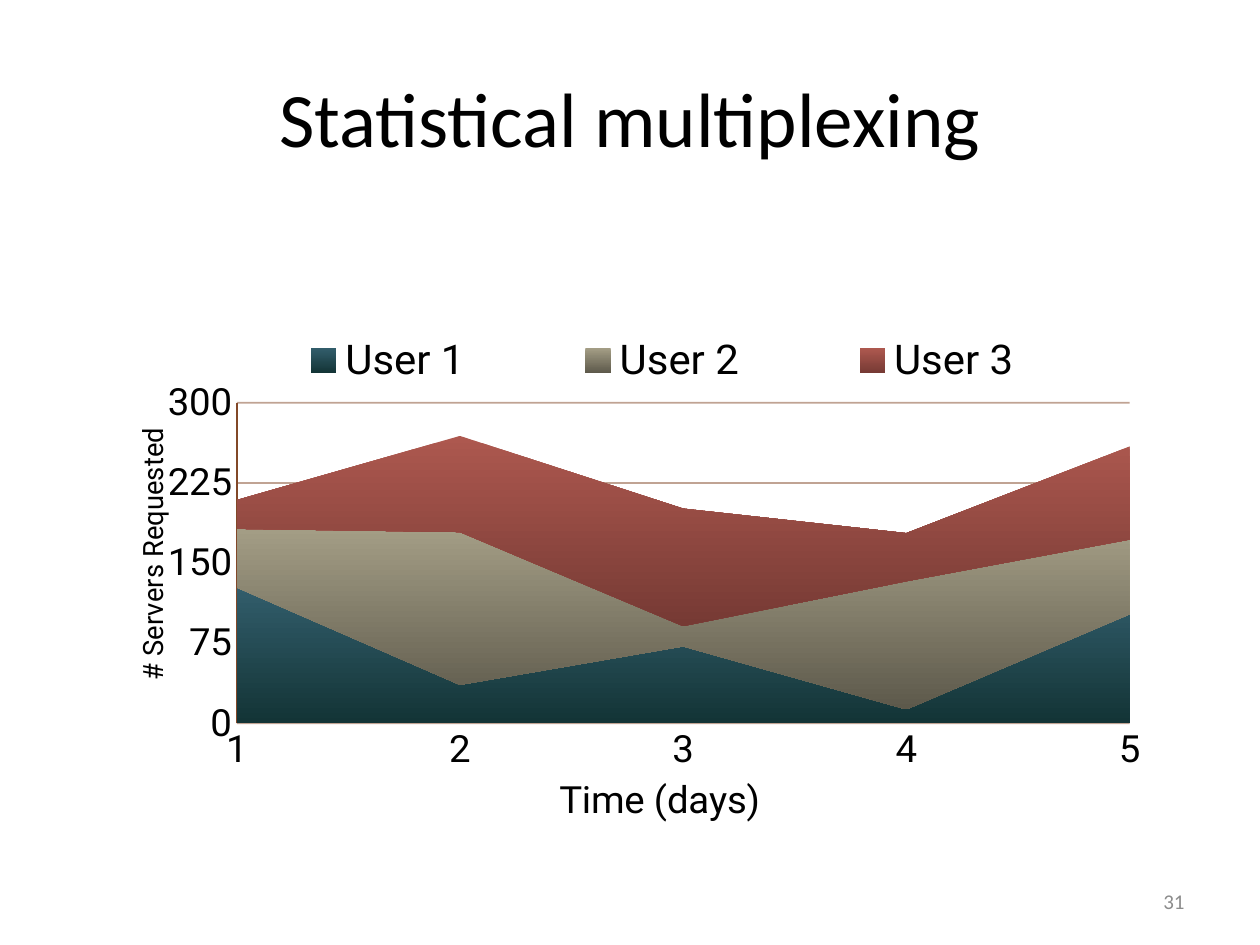
from dataclasses import dataclass

from lxml.etree import SubElement
from pptx import Presentation
from pptx.chart.data import CategoryChartData
from pptx.dml.color import RGBColor
from pptx.enum.chart import XL_CHART_TYPE, XL_LEGEND_POSITION, XL_TICK_MARK
from pptx.enum.text import MSO_ANCHOR, PP_ALIGN
from pptx.oxml import parse_xml
from pptx.oxml.ns import nsdecls, qn
from pptx.util import Inches, Pt


@dataclass(frozen=True)
class Theme:
    text: str = "000000"
    muted: str = "8C8C8C"
    rule: str = "824828"
    gradients: tuple = (("325D6B", "133436"), ("A39D85", "5D594B"), ("AD584F", "763A34"))
    heading_font: str = "Calibri"
    chart_font: str = "Roboto"
    title_size: int = 44
    number_size: int = 12
    legend_size: int = 24
    axis_size: int = 22
    value_title_size: int = 16


class SlideBuilder:
    """Draws styled text and area charts on one slide."""

    def __init__(self, page, theme):
        self.page = page
        self.theme = theme

    def style(self, font, size, name, color):
        font.size, font.name, font.bold = Pt(size), name, False
        font.color.rgb = RGBColor.from_string(color)

    def text(self, words, bounds, size, color, align):
        box = self.page.shapes.add_textbox(*map(Inches, bounds))
        frame = box.text_frame
        frame.word_wrap = True
        frame.vertical_anchor = MSO_ANCHOR.MIDDLE
        para = frame.paragraphs[0]
        para.text = words
        para.alignment = align
        self.style(para.font, size, self.theme.heading_font, color)

    def place(self, element, x, y, width=None, height=None, inner=False):
        for old in element.findall(qn("c:layout")):
            element.remove(old)
        layout = parse_xml(f"<c:layout {nsdecls('c')}><c:manualLayout/></c:layout>")
        settings = {"layoutTarget": "inner"} if inner else {}
        settings.update(xMode="edge", yMode="edge", x=x, y=y)
        if width:
            settings.update(w=width, h=height)
        for tag, value in settings.items():
            SubElement(layout[0], qn(f"c:{tag}")).set("val", str(value))
        overlay = element.find(qn("c:overlay"))
        element.insert(0 if overlay is None else element.index(overlay), layout)

    def axis(self, axis, title, size, x, y):
        theme = self.theme
        axis.major_tick_mark = axis.minor_tick_mark = XL_TICK_MARK.NONE
        self.style(axis.tick_labels.font, theme.axis_size, theme.chart_font, theme.text)
        frame = axis.axis_title.text_frame
        frame.text = title
        self.style(frame.paragraphs[0].font, size, theme.chart_font, theme.text)
        self.place(axis.axis_title._element, x, y)
        return frame

    def rule(self, line):
        line.color.rgb = RGBColor.from_string(self.theme.rule)
        line.width = Pt(1)

    def area_chart(self, bounds, days, users):
        theme = self.theme
        data = CategoryChartData()
        data.categories = days
        for name, servers in users.items():
            data.add_series(name, servers)
        chart = self.page.shapes.add_chart(
            XL_CHART_TYPE.AREA_STACKED, *map(Inches, bounds), data
        ).chart
        chart.has_title = False
        self.style(chart.font, 10, theme.heading_font, theme.text)
        plot_area = chart._chartSpace.chart.plotArea
        self.place(plot_area, 0.115, 0.137, 0.877, 0.661, inner=True)

        for series, colors in zip(chart.plots[0].series, theme.gradients):
            fill = series.format.fill
            fill.gradient()
            fill.gradient_angle = 270
            for stop, color, position in zip(fill.gradient_stops, colors, (0, 1)):
                stop.color.rgb = RGBColor.from_string(color)
                stop.position = position

        self.axis(chart.category_axis, "Time (days)", theme.axis_size, 0.425, 0.89)
        chart.category_axis.format.line.fill.background()

        values = chart.value_axis
        frame = self.axis(values, "# Servers Requested", theme.value_title_size, 0.01, 0.19)
        frame._txBody.bodyPr.set("rot", "-5400000")
        frame._txBody.bodyPr.set("vert", "horz")
        values.minimum_scale, values.maximum_scale, values.major_unit = 0, 300, 75
        values._element.find(qn("c:crossBetween")).set("val", "midCat")
        self.rule(values.format.line)
        grid = values.major_gridlines.format.line
        self.rule(grid)
        color = grid.fill._xPr.find(qn("a:solidFill"))[0]
        SubElement(color, qn("a:alpha")).set("val", "50000")

        chart.has_legend = True
        legend = chart.legend
        legend.position = XL_LEGEND_POSITION.TOP
        legend.include_in_layout = True
        self.style(legend.font, theme.legend_size, theme.chart_font, theme.text)
        self.place(legend._element, 0.083, 0, 0.9, 0.1)


def main():
    deck = Presentation()
    deck.slide_width, deck.slide_height = Inches(10), Inches(7.5)
    theme = Theme()
    builder = SlideBuilder(deck.slides.add_slide(deck.slide_layouts[6]), theme)
    builder.text("Statistical multiplexing", (0.5, 0.3, 9, 1.25),
                 theme.title_size, theme.text, PP_ALIGN.CENTER)
    builder.text("31", (7.17, 6.95, 2.33, 0.4),
                 theme.number_size, theme.muted, PP_ALIGN.RIGHT)
    builder.area_chart((0.95, 2.67, 8.1, 3.95), ["1", "2", "3", "4", "5"], {
        "User 1": (127, 36, 72, 13, 102),
        "User 2": (55, 143, 19, 120, 70),
        "User 3": (27, 90, 110, 45, 87),
    })
    deck.save("out.pptx")


if __name__ == "__main__":
    main()
